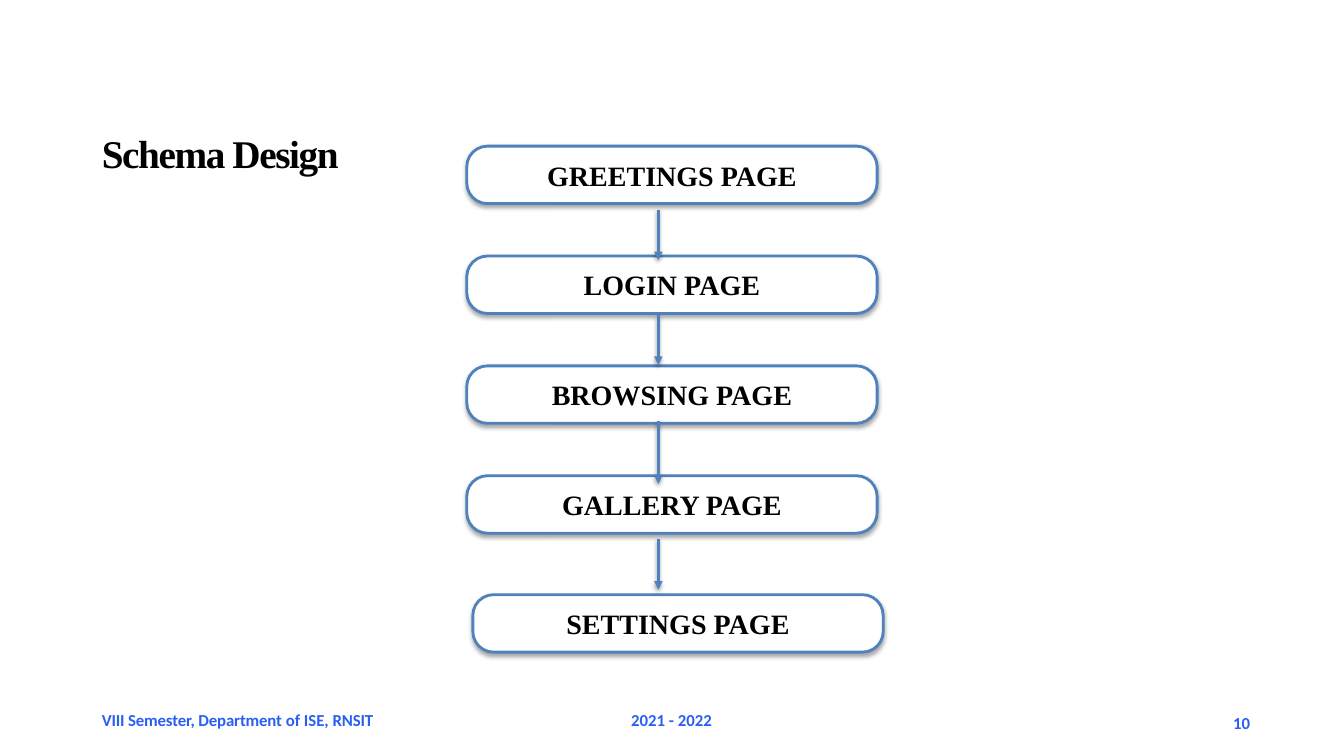
from dataclasses import dataclass

from lxml.etree import SubElement
from pptx import Presentation
from pptx.dml.color import RGBColor
from pptx.enum.shapes import MSO_CONNECTOR as Link, MSO_SHAPE as Form
from pptx.enum.text import MSO_ANCHOR as Anchor, MSO_AUTO_SIZE as Fit, PP_ALIGN as Align
from pptx.oxml.ns import qn
from pptx.util import Inches, Pt

BLACK = RGBColor(0x00, 0x00, 0x00)
WHITE = RGBColor(0xFF, 0xFF, 0xFF)
STEEL = RGBColor(0x4F, 0x81, 0xBD)
BLUE = RGBColor(0x2B, 0x5F, 0xF3)

HEAD = {"name": "Times New Roman", "size": Pt(28), "bold": True}
STEP = {"name": "Times New Roman", "size": Pt(20), "bold": True}
FOOT = {"name": "Calibri", "size": Pt(12), "bold": True}
SIDES = ("margin_left", "margin_top", "margin_right", "margin_bottom")


@dataclass
class Page:
    label: str
    left: float
    top: float


@dataclass
class Arrow:
    top: float
    end: float


@dataclass
class Note:
    words: list[tuple[str, int]]  # text, letter spacing in 1/100 pt
    left: float
    width: float
    indent: float = 0.01
    wrap: bool = True
    drop: float = 0


FIRST, PITCH = 1.45, 1.09
LABELS = ["GREETINGS PAGE", "LOGIN PAGE", "BROWSING PAGE", "GALLERY PAGE"]
PAGES = [Page(label, 4.63, FIRST + i * PITCH) for i, label in enumerate(LABELS)]
PAGES.append(Page("SETTINGS PAGE", 4.69, 5.9))
ARROWS = [Arrow(2.08, 2.58), Arrow(3.13, 3.62), Arrow(4.18, 4.8), Arrow(5.35, 5.85)]
NOTES = [
    Note([("VIII Semester, Department ", -10), ("of ISE, ", 0), ("RNSIT", -10)], 1, 2.77),
    Note([("2021 - 2022", 0)], 6.25, 0.83),
    Note([("10", 0)], 12.19, 0.22, 0.04, False, 0.03),
]


def add_run(para, text: str, style: dict, color: RGBColor, gap: int = 0) -> None:
    run = para.add_run()
    run.text = text
    for key, value in style.items():
        setattr(run.font, key, value)
    run.font.color.rgb = color
    if gap:
        run._r.get_or_add_rPr().set("spc", str(gap))


def set_inset(frame, size: float) -> None:
    for side in SIDES:
        setattr(frame, side, Inches(size))


def set_indent(para, size: float) -> None:
    para._p.get_or_add_pPr().set("marL", str(Inches(size)))


def style_line(shape) -> None:
    shape.line.color.rgb = STEEL
    shape.line.width = Pt(2)


def add_shade(shape, alpha: int, drop: float) -> None:
    props = shape._element.spPr
    for old in props.findall(qn("a:effectLst")):
        props.remove(old)
    shade = SubElement(SubElement(props, qn("a:effectLst")), qn("a:outerShdw"),
                       blurRad=str(Pt(3)), dist=str(Pt(drop)), dir="5400000", rotWithShape="0")
    color = SubElement(shade, qn("a:srgbClr"), val=str(BLACK))
    SubElement(color, qn("a:alpha"), val=str(alpha * 1000))


def add_title(slide, text: str) -> None:
    title = slide.shapes.title
    title.left, title.top = Inches(1), Inches(1.28)
    title.width, title.height = Inches(2.54), Inches(0.49)
    frame = title.text_frame
    frame.auto_size = Fit.NONE
    frame.vertical_anchor = Anchor.TOP
    set_inset(frame, 0)
    para = frame.paragraphs[0]
    para.alignment = Align.LEFT
    set_indent(para, 0.01)
    add_run(para, text, HEAD, BLACK, -100)


def add_note(slide, note: Note) -> None:
    box = slide.shapes.add_textbox(Inches(note.left), Inches(7.07), Inches(note.width), Inches(0.18))
    frame = box.text_frame
    frame.word_wrap = note.wrap
    set_inset(frame, 0)
    frame.margin_top = Inches(note.drop)
    para = frame.paragraphs[0]
    set_indent(para, note.indent)
    para.line_spacing = Pt(12)
    for text, gap in note.words:
        add_run(para, text, FOOT, BLUE, gap)


def add_page(slide, page: Page) -> None:
    box = slide.shapes.add_shape(Form.ROUNDED_RECTANGLE, Inches(page.left), Inches(page.top),
                                 Inches(4.07), Inches(0.57))
    box.adjustments[0] = 0.36
    box.fill.solid()
    box.fill.fore_color.rgb = WHITE
    style_line(box)
    add_shade(box, 35, 1.8)
    frame = box.text_frame
    frame.vertical_anchor = Anchor.MIDDLE
    set_inset(frame, 0.05)
    para = frame.paragraphs[0]
    para.alignment = Align.CENTER
    add_run(para, page.label, STEP, BLACK)


def add_arrow(slide, arrow: Arrow) -> None:
    mid = Inches(6.53)
    line = slide.shapes.add_connector(Link.STRAIGHT, mid, Inches(arrow.top), mid, Inches(arrow.end))
    style_line(line)
    SubElement(line.line._get_or_add_ln(), qn("a:tailEnd"), type="triangle")
    add_shade(line, 38, 1.6)


def main() -> None:
    deck = Presentation()
    deck.slide_width, deck.slide_height = Inches(13.33), Inches(7.5)
    slide = deck.slides.add_slide(deck.slide_layouts[5])

    # Title and footer
    add_title(slide, "Schema Design")
    for note in NOTES:
        add_note(slide, note)

    # Page flow
    for page in PAGES:
        add_page(slide, page)
    for arrow in ARROWS:
        add_arrow(slide, arrow)

    deck.save("out.pptx")


if __name__ == "__main__":
    main()
